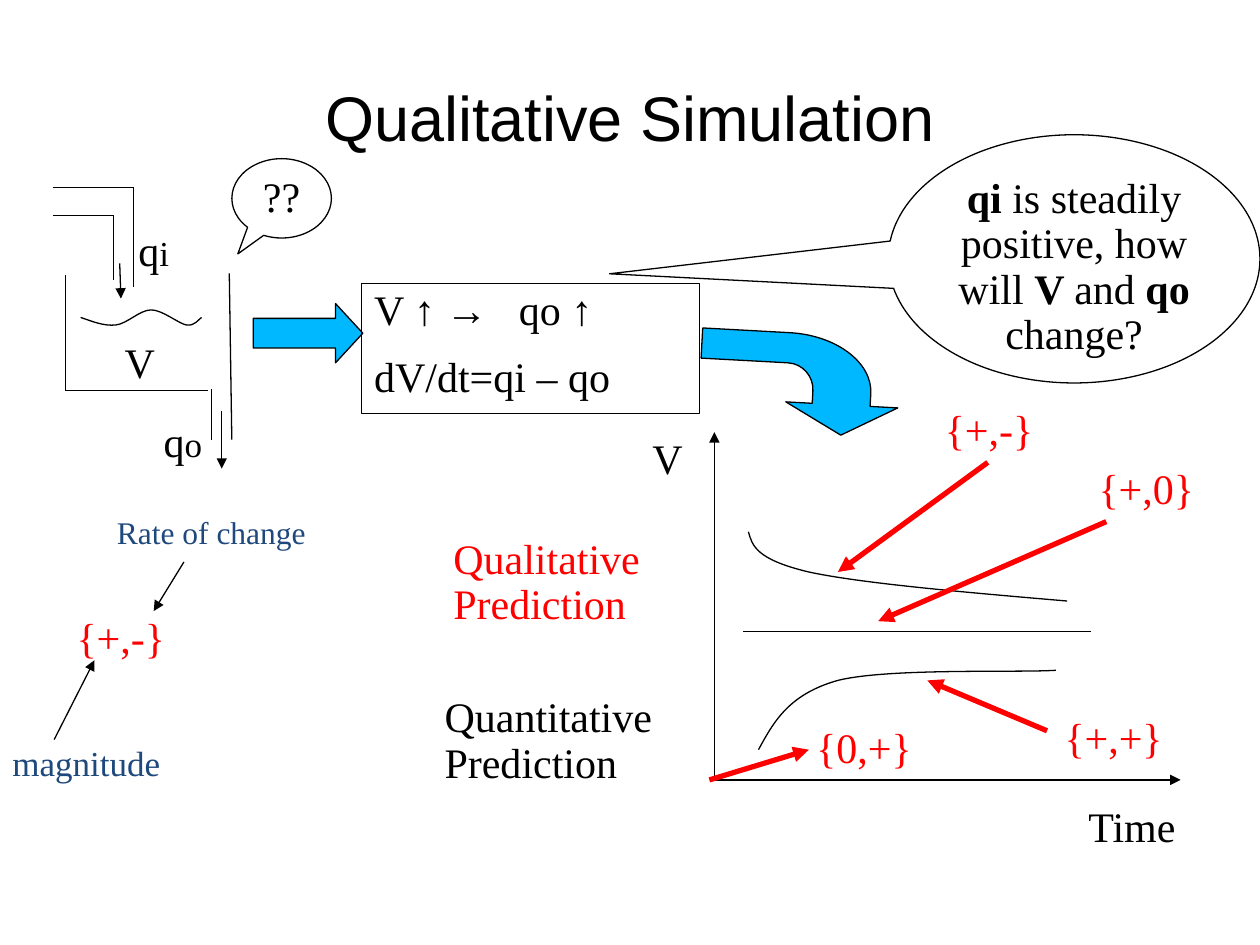
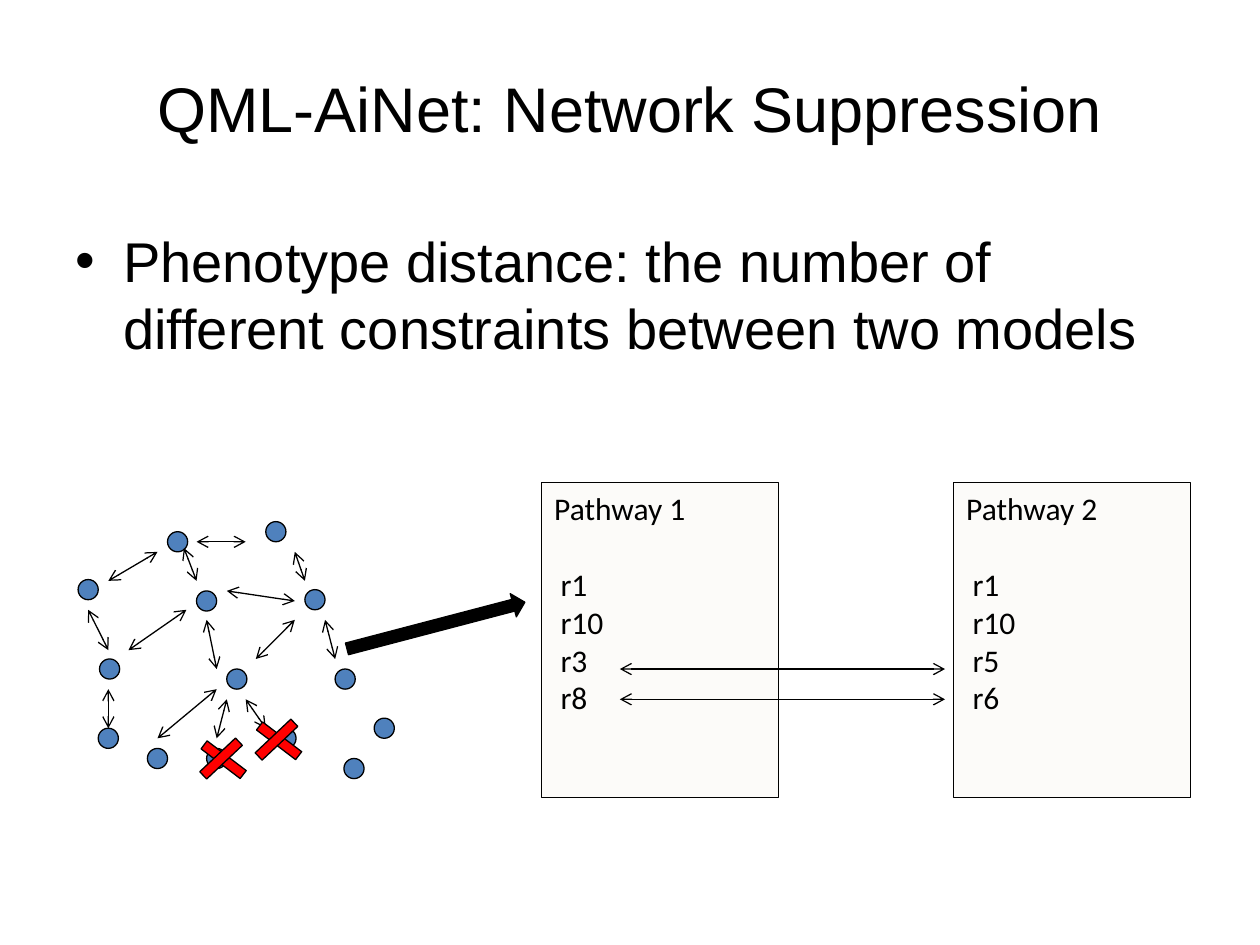
from dataclasses import dataclass, replace
from typing import NamedTuple

from lxml.etree import SubElement
from pptx import Presentation
from pptx.dml.color import RGBColor
from pptx.enum.shapes import MSO_CONNECTOR, MSO_SHAPE
from pptx.enum.text import MSO_ANCHOR, PP_ALIGN
from pptx.oxml.ns import qn
from pptx.util import Inches, Pt


@dataclass(frozen=True)
class Theme:
    black: str = "000000"
    red: str = "FF0000"
    navy: str = "1F497D"
    arrow_blue: str = "00B8FF"
    dot_blue: str = "4F81BD"
    panel: str = "FCFBF9"
    title_size: float = 36
    body_size: float = 32
    label_size: float = 24
    note_size: float = 20
    small_size: float = 18
    thin: float = 0.75
    thick: float = 3


THEME = Theme()


@dataclass(frozen=True)
class TextStyle:
    font: str = "Times New Roman"
    size: float = THEME.label_size
    color: str = THEME.black
    spacing: float = 0.9
    align: PP_ALIGN = PP_ALIGN.LEFT


LABEL = TextStyle()
RED_LABEL = replace(LABEL, color=THEME.red)
TANK_LABEL = replace(LABEL, spacing=1.0)
CENTERED = replace(LABEL, align=PP_ALIGN.CENTER)
TITLE = TextStyle("Arial", THEME.title_size, spacing=1.0, align=PP_ALIGN.CENTER)
BODY = TextStyle("Arial", THEME.body_size, spacing=1.0)
PATHWAY = TextStyle("Calibri", THEME.small_size, spacing=1.0)


class Box(NamedTuple):
    left: float
    top: float
    width: float
    height: float


class Label(NamedTuple):
    text: str
    box: Box
    style: TextStyle = LABEL


class Line(NamedTuple):
    x1: float
    y1: float
    x2: float
    y2: float


class Point(NamedTuple):
    x: float
    y: float


class Bezier(NamedTuple):
    """A cubic piece: two control points and an end point."""
    control1: Point
    control2: Point
    end: Point


def format_paragraph(paragraph, style: TextStyle) -> None:
    paragraph.alignment = style.align
    paragraph.line_spacing = style.spacing
    for run in paragraph.runs:
        run.font.name = style.font
        run.font.size = Pt(style.size)
        run.font.color.rgb = RGBColor.from_string(style.color)


def format_frame(frame, style: TextStyle, anchor=MSO_ANCHOR.TOP) -> None:
    frame.word_wrap = True
    frame.vertical_anchor = anchor
    for paragraph in frame.paragraphs:
        format_paragraph(paragraph, style)


def add_label(slide, label: Label, anchor=MSO_ANCHOR.TOP):
    frame = slide.shapes.add_textbox(*map(Inches, label.box)).text_frame
    frame.text = label.text
    format_frame(frame, label.style, anchor)
    return frame


def add_title(slide, text: str, box: Box) -> None:
    add_label(slide, Label(text, box, TITLE), MSO_ANCHOR.MIDDLE)


def paint(shape, fill: str | None) -> None:
    shape.shadow.inherit = False
    if fill:
        shape.fill.solid()
        shape.fill.fore_color.rgb = RGBColor.from_string(fill)
    else:
        shape.fill.background()
    shape.line.color.rgb = RGBColor.from_string(THEME.black)
    shape.line.width = Pt(THEME.thin)


def add_figure(slide, kind, box: Box, fill: str | None = None,
               rotation: float = 0, adjustments: tuple[float, ...] = ()):
    shape = slide.shapes.add_shape(kind, *map(Inches, box))
    for index, value in enumerate(adjustments):
        shape.adjustments[index] = value
    shape.rotation = rotation
    paint(shape, fill)
    return shape


def add_line(slide, line: Line, color: str = THEME.black, width: float = THEME.thin,
             head: str = "", tail: str = "") -> None:
    connector = slide.shapes.add_connector(MSO_CONNECTOR.STRAIGHT, *map(Inches, line))
    connector.line.color.rgb = RGBColor.from_string(color)
    connector.line.width = Pt(width)
    properties = connector.element.spPr
    outline = properties.find(qn("a:ln"))
    for tag, kind in (("a:headEnd", head), ("a:tailEnd", tail)):
        if kind:
            SubElement(outline, qn(tag), type=kind)
    SubElement(properties, qn("a:effectLst"))


def add_outline(slide, start: Point, pieces: tuple[Point | Bezier, ...],
                fill: str | None = None, rotation: float = 0) -> None:
    """Draw a path of straight and cubic pieces; a filled one is closed."""
    points = [start]
    for piece in pieces:
        points.extend(piece if isinstance(piece, Bezier) else [piece])
    corners = [(Inches(x), Inches(y)) for x, y in points]
    builder = slide.shapes.build_freeform(*corners[0], scale=1.0)
    builder.add_line_segments(corners[1:], close=bool(fill))
    shape = builder.convert_to_shape()
    segments = iter(list(shape.element.spPr.iter(qn("a:lnTo"))))
    for piece in pieces:
        segment = next(segments)
        if isinstance(piece, Bezier):
            segment.tag = qn("a:cubicBezTo")
            for _ in range(2):
                extra = next(segments)
                extra.getparent().remove(extra)
                segment.append(extra[0])
    shape.rotation = rotation
    paint(shape, fill)


def draw_tank(slide) -> None:
    walls = (
        Line(0.52, 2.18, 0.52, 3.1), Line(0.52, 3.1, 1.65, 3.1),
        Line(1.84, 3.49, 1.82, 2.17), Line(0.9, 1.71, 0.9, 2.22),
        Line(0.42, 1.71, 0.9, 1.71), Line(0.42, 1.49, 1.06, 1.49),
        Line(1.06, 1.49, 1.06, 2.28), Line(1.68, 3.09, 1.68, 3.49),
    )
    for wall in walls:
        add_line(slide, wall)
    for flow in (Line(0.95, 2.09, 0.96, 2.37), Line(1.76, 3.26, 1.76, 3.72)):
        add_line(slide, flow, tail="triangle")
    add_outline(slide, Point(0.64, 2.52), (
        Bezier(Point(0.73, 2.55), Point(0.82, 2.59), Point(0.92, 2.58)),
        Bezier(Point(1.01, 2.57), Point(1.11, 2.46), Point(1.2, 2.46)),
        Bezier(Point(1.29, 2.46), Point(1.42, 2.57), Point(1.48, 2.58)),
        Bezier(Point(1.55, 2.59), Point(1.58, 2.53), Point(1.6, 2.52)),
    ))
    add_label(slide, Label("V", Box(0.89, 2.62, 0.42, 0.5), TANK_LABEL))
    for suffix, box in (("i", Box(1, 1.73, 0.75, 0.5)), ("o", Box(1.2, 3.25, 0.64, 0.5))):
        frame = add_label(slide, Label("q", box, TANK_LABEL))
        paragraph = frame.paragraphs[0]
        paragraph.add_run().text = suffix
        format_paragraph(paragraph, TANK_LABEL)
        paragraph.runs[1].font.size = Pt(THEME.note_size)


def draw_model(slide) -> None:
    add_figure(slide, MSO_SHAPE.RIGHT_ARROW, Box(2.01, 2.41, 0.87, 0.47),
               THEME.arrow_blue, adjustments=(0.5, 0.46))
    frame = add_figure(slide, MSO_SHAPE.RECTANGLE, Box(2.87, 2.25, 2.68, 1.03)).text_frame
    frame.text = "V ↑ →\tqo ↑\ndV/dt=qi – qo"
    tabs = SubElement(frame.paragraphs[0]._p.get_or_add_pPr(), qn("a:tabLst"))
    SubElement(tabs, qn("a:tab"), pos=str(Inches(1.15)), algn="l")
    format_frame(frame, LABEL)
    frame.paragraphs[1].space_before = Pt(THEME.label_size / 2)


def draw_bent_arrow(slide) -> None:
    add_outline(slide, Point(6.74, 2.69), (
        Point(6.5, 2.25), Point(6.5, 2.47), Point(6.4, 2.47),
        Bezier(Point(6.15, 2.47), Point(5.95, 2.77), Point(5.95, 3.14)),
        Point(5.95, 3.83), Point(6.19, 3.83), Point(6.19, 3.14),
        Bezier(Point(6.19, 3.02), Point(6.29, 2.93), Point(6.4, 2.93)),
        Point(6.5, 2.93), Point(6.5, 3.14),
    ), THEME.arrow_blue, 93.1)


def draw_callouts(slide) -> None:
    doubt = add_figure(slide, MSO_SHAPE.OVAL_CALLOUT, Box(1.84, 1.26, 0.79, 0.63),
                       adjustments=(-0.44, 0.7))
    doubt.text_frame.text = "??"
    format_frame(doubt.text_frame, CENTERED)
    question = add_figure(slide, MSO_SHAPE.OVAL_CALLOUT, Box(7.05, 1.07, 2.95, 1.97),
                          adjustments=(-1.25, 0.06))
    paragraph = question.text_frame.paragraphs[0]
    pieces = ("qi", " is steadily positive, how will ", "V ", "and", " qo", " change?")
    for index, text in enumerate(pieces):
        run = paragraph.add_run()
        run.text = text
        run.font.bold = index % 2 == 0
    format_frame(question.text_frame, CENTERED)


def draw_plot(slide) -> None:
    for axis in (Line(5.67, 6.19, 5.67, 3.43), Line(5.67, 6.19, 9.37, 6.19)):
        add_line(slide, axis, tail="triangle")
    add_line(slide, Line(5.9, 5.01, 8.66, 5.01))
    add_outline(slide, Point(6.02, 5.95), (
        Bezier(Point(6.14, 5.73), Point(6.26, 5.51), Point(6.65, 5.4)),
        Bezier(Point(7.05, 5.3), Point(8.08, 5.34), Point(8.38, 5.32)),
    ))
    add_outline(slide, Point(5.94, 4.22), (
        Bezier(Point(5.97, 4.33), Point(6, 4.44), Point(6.42, 4.54)),
        Bezier(Point(6.84, 4.63), Point(7.65, 4.7), Point(8.47, 4.77)),
    ))
    pointers = (Line(7.84, 3.67, 6.65, 4.54), Line(8.78, 4.14, 6.97, 4.93),
                Line(8.31, 5.8, 7.36, 5.4), Line(5.63, 6.19, 6.42, 5.95))
    for pointer in pointers:
        add_line(slide, pointer, THEME.red, THEME.thick, tail="triangle")


def build_simulation_slide(slide) -> None:
    add_title(slide, "Qualitative Simulation", Box(0.5, 0.3, 9, 1.25))
    draw_tank(slide)
    draw_model(slide)
    draw_plot(slide)
    draw_bent_arrow(slide)
    draw_callouts(slide)
    labels = (
        Label("Time", Box(8.54, 6.35, 1.5, 0.46)),
        Label("V", Box(5.08, 3.43, 0.71, 0.46)),
        Label("{+,0}", Box(8.62, 3.67, 1.42, 0.46), RED_LABEL),
        Label("{+,+}", Box(8.35, 5.64, 1.42, 0.46), RED_LABEL),
        Label("{+,-}", Box(7.4, 3.2, 1.57, 0.46), RED_LABEL),
        Label("{0,+}", Box(6.38, 5.72, 1.57, 0.46), RED_LABEL),
        Label("Qualitative Prediction", Box(3.5, 4.22, 2.2, 0.82), RED_LABEL),
        Label("Quantitative Prediction", Box(3.43, 5.48, 2.05, 0.82)),
        Label("{+,-}", Box(0.51, 4.85, 1.3, 0.46), RED_LABEL),
        Label("magnitude", Box(0, 5.87, 1.38, 0.4),
              replace(LABEL, size=THEME.note_size, color=THEME.navy)),
        Label("Rate of change", Box(0.83, 4.06, 2.05, 0.37),
              replace(LABEL, size=THEME.small_size, color=THEME.navy)),
    )
    for label in labels:
        add_label(slide, label)
    for pointer in (Line(0.43, 5.87, 0.75, 5.24), Line(1.46, 4.46, 1.22, 4.85)):
        add_line(slide, pointer, tail="triangle")


def draw_pathway(slide, left: float, name: str, reactions: tuple[str, ...]) -> None:
    panel = add_figure(slide, MSO_SHAPE.RECTANGLE, Box(left, 3.83, 1.88, 2.5), THEME.panel)
    frame = panel.text_frame
    frame.text = "\n".join((name, *reactions))
    for paragraph in frame.paragraphs[1:]:
        paragraph._p.get_or_add_pPr().set("marL", str(Inches(0.05)))
    format_frame(frame, PATHWAY)
    frame.paragraphs[1].space_before = Pt(22)


def draw_network(slide) -> None:
    dot_size = 0.16
    dots = ((0.62, 4.6), (0.79, 5.23), (2.42, 4.68), (0.78, 5.78), (1.8, 5.31),
            (2.11, 4.14), (2.66, 5.31), (1.33, 4.22), (1.17, 5.94), (1.64, 5.94),
            (2.19, 5.78), (1.56, 4.69), (2.73, 6.02), (2.97, 5.7))
    for left, top in dots:
        add_figure(slide, MSO_SHAPE.OVAL, Box(left, top, dot_size, dot_size), THEME.dot_blue)
    links = (
        Line(1.02, 5.16, 1.48, 4.84), Line(1.64, 4.92, 1.72, 5.31),
        Line(0.86, 5.47, 0.86, 5.78), Line(1.56, 4.61, 1.46, 4.35),
        Line(0.86, 4.61, 1.25, 4.38), Line(1.8, 4.69, 2.34, 4.77),
        Line(2.58, 4.92, 2.66, 5.23), Line(2.34, 4.92, 2.03, 5.23),
        Line(1.95, 5.55, 2.11, 5.78), Line(1.72, 5.47, 1.25, 5.86),
        Line(1.8, 5.55, 1.72, 5.86), Line(1.56, 4.3, 1.95, 4.3),
        Line(2.34, 4.38, 2.42, 4.61), Line(0.7, 4.84, 0.86, 5.16),
    )
    for link in links:
        add_line(slide, link, head="arrow", tail="arrow")
    for left, top in ((2.02, 5.84), (1.58, 5.99)):
        for bar, angle in ((Box(left, top, 0.39, 0.08), 37.2),
                           (Box(left - 0.02, top - 0.01, 0.39, 0.08), 316.7)):
            add_figure(slide, MSO_SHAPE.RECTANGLE, bar, THEME.red, angle)


def build_suppression_slide(slide) -> None:
    add_title(slide, "QML-AiNet: Network Suppression", Box(0.75, 0.23, 8.5, 1.25))
    text = "Phenotype distance: the number of different constraints between two models"
    frame = add_label(slide, Label(text, Box(0.5, 1.75, 9, 4.95), BODY))
    properties = frame.paragraphs[0]._p.get_or_add_pPr()
    properties.set("marL", str(Inches(0.38)))
    properties.set("indent", str(-Inches(0.38)))
    SubElement(properties, qn("a:buFont"), typeface="Arial")
    SubElement(properties, qn("a:buChar"), char="•")
    draw_pathway(slide, 4.3, "Pathway 1", ("r1", "r10", "r3", "r8"))
    draw_pathway(slide, 7.57, "Pathway 2", ("r1", "r10", "r5", "r6"))
    for top in (5.31, 5.55):
        add_line(slide, Line(4.92, top, 7.5, top), head="arrow", tail="arrow")
    draw_network(slide)
    add_figure(slide, MSO_SHAPE.RIGHT_ARROW, Box(2.73, 4.87, 1.46, 0.19),
               THEME.black, 345.3)


def main() -> None:
    presentation = Presentation()
    presentation.slide_width, presentation.slide_height = Inches(10), Inches(7.5)
    blank = presentation.slide_layouts[6]
    for build in (build_simulation_slide, build_suppression_slide):
        build(presentation.slides.add_slide(blank))
    presentation.save("out.pptx")


if __name__ == "__main__":
    main()
